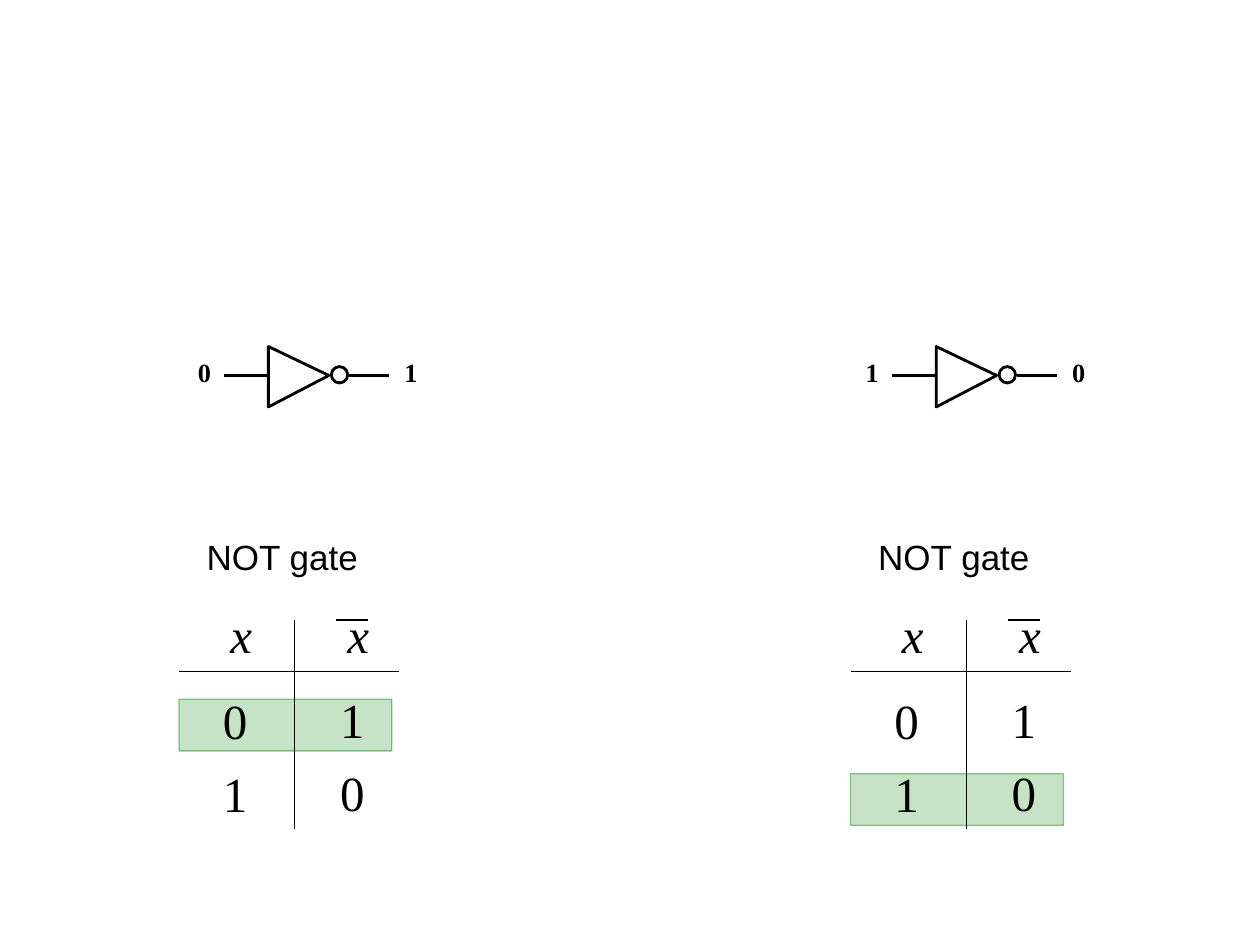
from lxml import etree
from pptx import Presentation
from pptx import util as u
from pptx.dml.color import RGBColor
from pptx.enum import shapes, text
from pptx.oxml.ns import qn

BLACK, GREEN = "000000", "008000"
SERIF, SANS = "Times New Roman", "Arial"
GATE_STEP, TABLE_STEP = 5.3, 5.33  # distance from left to right half
ROW_STEP = 0.58


def colour(code):
    return RGBColor.from_string(code)


def set_alpha(fill_parent, percent):
    """Make the solid fill inside an XML element partly transparent."""
    tint = fill_parent.find(qn("a:solidFill"))[0]
    etree.SubElement(tint, qn("a:alpha")).set("val", str(percent * 1000))


def add_text(page, words, left, top, width, height, size=28, font=SERIF,
             bold=False, italic=False, inset=(0.1, 0.05), wrap=False):
    box = page.shapes.add_textbox(*map(u.Inches, (left, top, width, height)))
    frame = box.text_frame
    frame.word_wrap = wrap
    frame.auto_size = text.MSO_AUTO_SIZE.NONE
    frame.margin_left = frame.margin_right = u.Inches(inset[0])
    frame.margin_top = frame.margin_bottom = u.Inches(inset[1])
    span = frame.paragraphs[0].add_run()
    span.text = words
    span.font.size, span.font.name = u.Pt(size), font
    span.font.bold, span.font.italic = bold, italic
    span.font.color.rgb = colour(BLACK)


def add_line(page, x1, y1, x2, y2, weight):
    line = page.shapes.add_connector(
        shapes.MSO_CONNECTOR.STRAIGHT, *map(u.Inches, (x1, y1, x2, y2)))
    line.line.color.rgb = colour(BLACK)
    line.line.width = u.Pt(weight)
    etree.SubElement(line._element.spPr, qn("a:effectLst"))


def outline(shape, weight):
    shape.shadow.inherit = False
    shape.fill.background()
    shape.line.color.rgb = colour(BLACK)
    shape.line.width = u.Pt(weight)


def add_gate(page, left, source, result):
    """Inverter symbol with its input and output values."""
    middle, weight = 2.98, 1.62
    for value, shift in ((source, 0), (result, 1.64)):
        add_text(page, value, left + shift, 2.83, 0.17, 0.25, size=15,
                 bold=True, inset=(0, 0))
    for start, end in ((0.21, 0.56), (1.2, 1.52)):
        add_line(page, left + start, middle, left + end, middle, weight)

    # Triangle and inversion bubble
    back, tip = u.Inches(left + 0.56), u.Inches(left + 1.04)
    builder = page.shapes.build_freeform(tip, u.Inches(middle))
    builder.add_line_segments(
        [(back, u.Inches(3.23)), (back, u.Inches(2.75))], close=True)
    outline(builder.convert_to_shape(), weight)
    bubble = page.shapes.add_shape(
        shapes.MSO_SHAPE.OVAL,
        *map(u.Inches, (left + 1.06, 2.91, 0.13, 0.13)))
    outline(bubble, weight)


def add_highlight(page, left, row):
    band = page.shapes.add_shape(
        shapes.MSO_SHAPE.RECTANGLE,
        *map(u.Inches, (left, 5.55 + row * 0.59, 1.69, 0.41)))
    band.shadow.inherit = False
    band.fill.solid()
    band.fill.fore_color.rgb = colour(GREEN)
    band.line.color.rgb = colour(GREEN)
    band.line.width = u.Pt(0.75)
    set_alpha(band._element.spPr, 22)
    set_alpha(band._element.spPr.find(qn("a:ln")), 43)


def add_truth_table(page, left, active_row):
    add_highlight(page, left, active_row)
    add_text(page, "NOT gate", left + 0.22, 4.25, 1.27, 0.33, size=20,
             font=SANS, inset=(0, 0), wrap=True)

    # Rules, and the bar over the negated variable
    add_line(page, left + 0.92, 4.92, left + 0.92, 6.58, 0.75)
    add_line(page, left, 5.33, left + 1.75, 5.33, 0.75)
    add_line(page, left + 1.25, 4.92, left + 1.5, 4.92, 1.25)

    # Each column: header, then its values
    for shift, top, values in ((0.25, 5.43, "01"), (1.18, 5.42, "10")):
        add_text(page, "x", left + shift + 0.06, 4.75, 0.37, 0.57, italic=True)
        for row, value in enumerate(values):
            add_text(page, value, left + shift, top + row * ROW_STEP,
                     0.39, 0.57)


def main():
    deck = Presentation()
    deck.slide_width, deck.slide_height = u.Inches(10), u.Inches(7.5)
    page = deck.slides.add_slide(deck.slide_layouts[6])
    for half, (source, result) in enumerate(("01", "10")):
        add_gate(page, 1.57 + half * GATE_STEP, source, result)
        add_truth_table(page, 1.42 + half * TABLE_STEP, active_row=half)
    deck.save("out.pptx")


if __name__ == "__main__":
    main()
